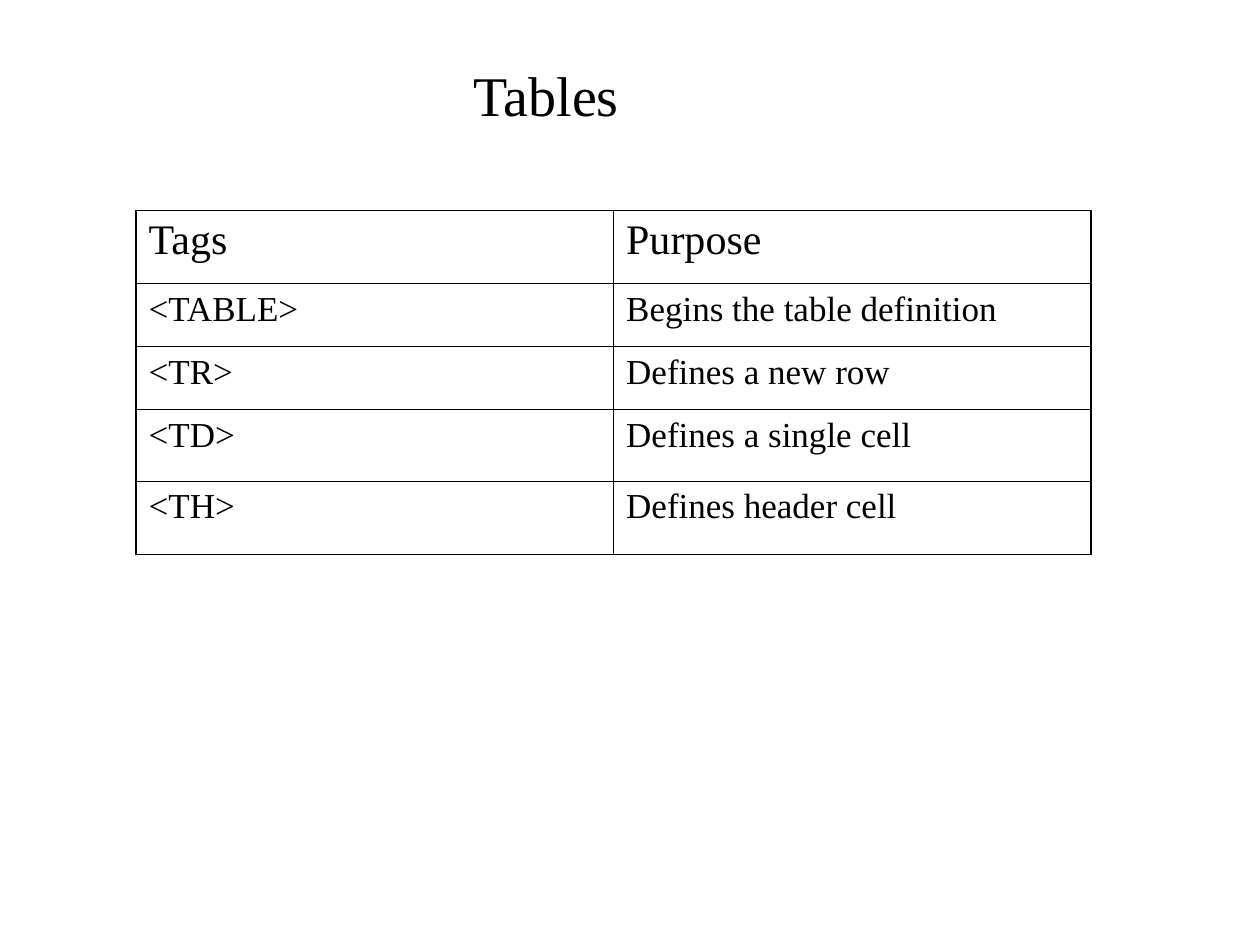
from lxml.etree import SubElement
from pptx import Presentation
from pptx.dml.color import RGBColor
from pptx.enum.text import MSO_ANCHOR, PP_ALIGN
from pptx.oxml.ns import qn
from pptx.util import Inches, Pt

COLORS = {"text": "000000", "border": "000000"}
FONT = "Times New Roman"
OUTER, INNER = Pt(1.08), Pt(0.45)
ROWS = [
    ("Tags", "Purpose"),
    ("<TABLE>", "Begins the table definition"),
    ("<TR>", "Defines a new row"),
    ("<TD>", "Defines a single cell"),
    ("<TH>", "Defines header cell"),
]
HEIGHTS = [0.58, 0.5, 0.5, 0.57, 0.58]
COL_WIDTH = 3.79


def set_font(p, size):
    p.font.name = FONT
    p.font.size = Pt(size)
    p.font.bold = False
    p.font.color.rgb = RGBColor.from_string(COLORS["text"])


def set_borders(cell, widths):
    tcPr = cell._tc.get_or_add_tcPr()
    for side, width in widths.items():
        ln = SubElement(tcPr, qn(f"a:ln{side}"), w=str(width))
        fill = SubElement(ln, qn("a:solidFill"))
        SubElement(fill, qn("a:srgbClr"), val=COLORS["border"])


prs = Presentation()
prs.slide_width, prs.slide_height = Inches(10), Inches(7.5)
s = prs.slides.add_slide(prs.slide_layouts[5])

title = s.shapes.title
title.left, title.top = Inches(0.5), Inches(0.5)
title.width, title.height = Inches(7.67), Inches(0.5)
tf = title.text_frame
tf.text = "Tables"
tf.vertical_anchor = MSO_ANCHOR.MIDDLE
p = tf.paragraphs[0]
p.alignment = PP_ALIGN.CENTER
set_font(p, 32)

frame = s.shapes.add_table(len(ROWS), 2, Inches(1.08), Inches(1.67),
                           Inches(2 * COL_WIDTH), Inches(sum(HEIGHTS)))
table = frame.table
table.first_row = table.horz_banding = False
for col in table.columns:
    col.width = Inches(COL_WIDTH)

last = len(ROWS) - 1
for i, (texts, height) in enumerate(zip(ROWS, HEIGHTS)):
    table.rows[i].height = Inches(height)
    for j, text in enumerate(texts):
        cell = table.cell(i, j)
        cell.text = text
        set_font(cell.text_frame.paragraphs[0], 24 if i == 0 else 20)
        set_borders(cell, {
            "L": OUTER if j == 0 else INNER,
            "R": OUTER if j == 1 else INNER,
            "T": OUTER if i == 0 else INNER,
            "B": OUTER if i == last else INNER,
        })
        cell.fill.background()

prs.save("out.pptx")
